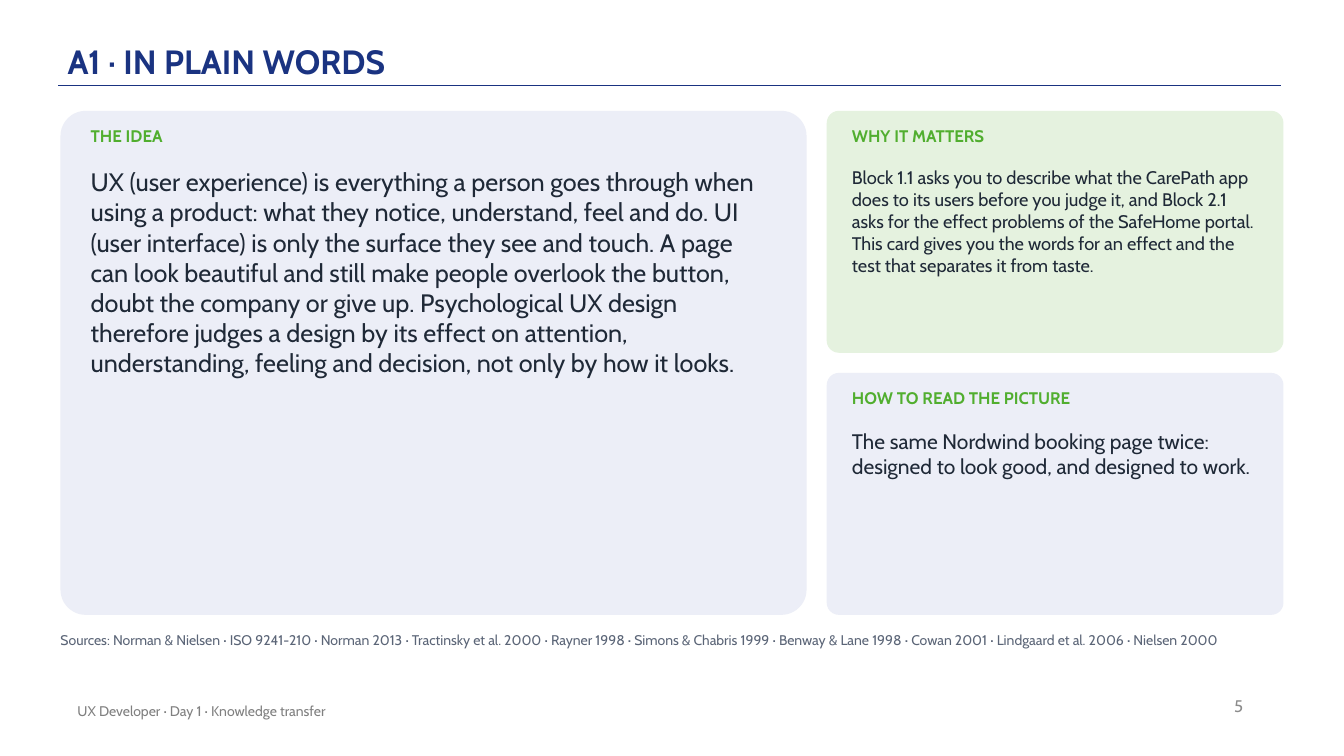
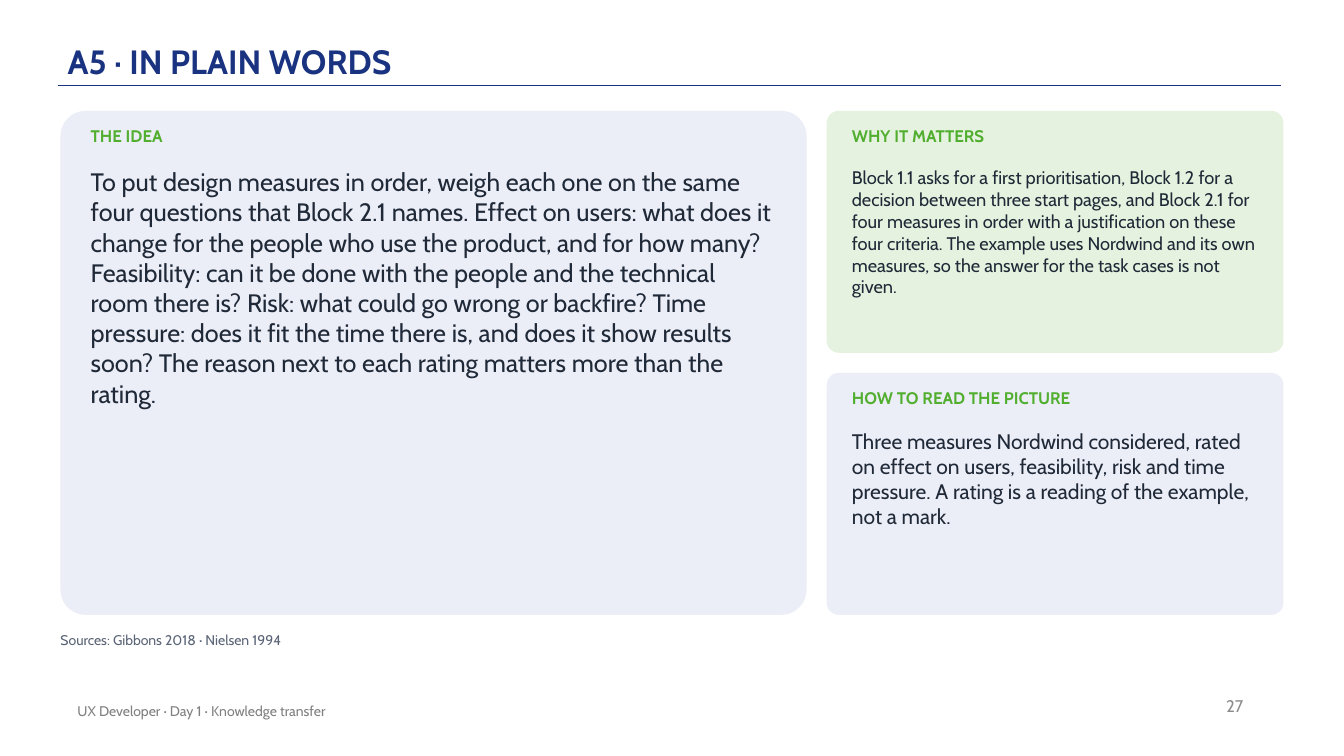
from dataclasses import dataclass

from lxml import etree
from pptx import Presentation
from pptx.dml.color import RGBColor
from pptx.enum import shapes, text
from pptx.oxml import ns
from pptx.util import Inches, Pt


@dataclass(frozen=True)
class Theme:
    font: str = "Cabin"
    navy: str = "1A3381"
    green: str = "51AE2F"
    ink: str = "1F2937"
    slate: str = "5B6577"
    footer_grey: str = "808080"
    number_grey: str = "8C8C8C"
    lavender: str = "ECEEF7"
    mint: str = "E5F2DF"
    title: int = 24
    heading: int = 12
    number: int = 12
    small: int = 10


T = Theme()

# Content
FOOTER = "UX Developer · Day 1 · Knowledge transfer"
SLIDES = [
    {
        "title": "A1 · IN PLAIN WORDS",
        "number": "5",
        "bodies": [
            "UX (user experience) is everything a person goes through when using a "
            "product: what they notice, understand, feel and do. UI (user interface) is "
            "only the surface they see and touch. A page can look beautiful and still "
            "make people overlook the button, doubt the company or give up. "
            "Psychological UX design therefore judges a design by its effect on "
            "attention, understanding, feeling and decision, not only by how it looks.",
            "Block 1.1 asks you to describe what the CarePath app does to its users "
            "before you judge it, and Block 2.1 asks for the effect problems of the "
            "SafeHome portal. This card gives you the words for an effect and the test "
            "that separates it from taste.",
            "The same Nordwind booking page twice: designed to look good, and designed "
            "to work.",
        ],
        "sources": "Sources: Norman & Nielsen · ISO 9241-210 · Norman 2013 · Tractinsky "
                   "et al. 2000 · Rayner 1998 · Simons & Chabris 1999 · Benway & Lane "
                   "1998 · Cowan 2001 · Lindgaard et al. 2006 · Nielsen 2000",
    },
    {
        "title": "A5 · IN PLAIN WORDS",
        "number": "27",
        "bodies": [
            "To put design measures in order, weigh each one on the same four questions "
            "that Block 2.1 names. Effect on users: what does it change for the people "
            "who use the product, and for how many? Feasibility: can it be done with "
            "the people and the technical room there is? Risk: what could go wrong or "
            "backfire? Time pressure: does it fit the time there is, and does it show "
            "results soon? The reason next to each rating matters more than the rating.",
            "Block 1.1 asks for a first prioritisation, Block 1.2 for a decision between "
            "three start pages, and Block 2.1 for four measures in order with a "
            "justification on these four criteria. The example uses Nordwind and its "
            "own measures, so the answer for the task cases is not given.",
            "Three measures Nordwind considered, rated on effect on users, feasibility, "
            "risk and time pressure. A rating is a reading of the example, not a mark.",
        ],
        "sources": "Sources: Gibbons 2018 · Nielsen 1994",
    },
]

# Card grid: one tall card, then two equal cards stacked beside it
LEFT, TOP, GAP = 0.6, 1.1, 0.2
WIDE, NARROW, TALL = 7.4, 4.53, 5
SHORT = (TALL - GAP) / 2
SIDE = LEFT + WIDE + GAP
# heading, left, top, width, height, side padding, body size, fill
CARDS = [
    ("THE IDEA", LEFT, TOP, WIDE, TALL, 0.3, 18, T.lavender),
    ("WHY IT MATTERS", SIDE, TOP, NARROW, SHORT, 0.25, 13, T.mint),
    ("HOW TO READ THE PICTURE", SIDE, TOP + SHORT + GAP, NARROW, SHORT, 0.25, 15,
     T.lavender),
]
HEADING_DROP, BODY_DROP = 0.15, 0.55
NO_INSET = (0, 0, 0, 0)
DEFAULT_INSET = (0.1, 0.05, 0.1, 0.05)


def add_text(s, words, box, size, color, bold=False, inset=NO_INSET,
             anchor=text.MSO_ANCHOR.TOP, align=text.PP_ALIGN.LEFT):
    tf = s.shapes.add_textbox(*map(Inches, box)).text_frame
    tf.word_wrap = True
    tf.vertical_anchor = anchor
    (tf.margin_left, tf.margin_top,
     tf.margin_right, tf.margin_bottom) = map(Inches, inset)
    p = tf.paragraphs[0]
    p.text = words
    p.alignment = align
    font = p.runs[0].font
    font.name, font.size, font.bold = T.font, Pt(size), bold
    font.color.rgb = RGBColor.from_string(color)
    return p


def add_frame(s, title, number):
    """Title, rule, page number and footer."""
    rule = s.shapes.add_connector(shapes.MSO_CONNECTOR.STRAIGHT, Inches(0.58),
                                  Inches(0.85), Inches(12.71), Inches(0.85))
    rule.line.color.rgb = RGBColor.from_string(T.navy)
    rule.line.width = Pt(1)
    etree.SubElement(rule._element.spPr, ns.qn("a:effectLst"))
    p = add_text(s, title, (0.67, 0.12, 11, 0.72), T.title, T.navy, bold=True,
                 inset=(0, 0.03, 0, 0.03), anchor=text.MSO_ANCHOR.BOTTOM)
    p.line_spacing = 0.9
    add_text(s, number, (9.43, 6.8, 3, 0.4), T.number, T.number_grey,
             inset=DEFAULT_INSET, anchor=text.MSO_ANCHOR.MIDDLE,
             align=text.PP_ALIGN.RIGHT)
    add_text(s, FOOTER, (0.67, 6.85, 6.7, 0.4), T.small, T.footer_grey,
             inset=DEFAULT_INSET, anchor=text.MSO_ANCHOR.MIDDLE)


def add_card(s, card, body):
    heading, x, y, w, h, pad, size, fill = card
    sp = s.shapes.add_shape(shapes.MSO_SHAPE.ROUNDED_RECTANGLE,
                            *map(Inches, (x, y, w, h)))
    sp.adjustments[0] = 0.05
    sp.shadow.inherit = False
    sp.fill.solid()
    sp.fill.fore_color.rgb = RGBColor.from_string(fill)
    sp.line.fill.background()
    inner = w - 2 * pad
    add_text(s, heading, (x + pad, y + HEADING_DROP, inner, 0.35), T.heading,
             T.green, bold=True)
    add_text(s, body, (x + pad, y + BODY_DROP, inner, h - BODY_DROP - 0.1), size,
             T.ink)


def main():
    prs = Presentation()
    prs.slide_width, prs.slide_height = Inches(13.33), Inches(7.5)
    for content in SLIDES:
        s = prs.slides.add_slide(prs.slide_layouts[6])
        add_frame(s, content["title"], content["number"])
        for card, body in zip(CARDS, content["bodies"]):
            add_card(s, card, body)
        add_text(s, content["sources"], (LEFT, 6.27, 12.1, 0.3), T.small, T.slate)
    prs.save("out.pptx")


if __name__ == "__main__":
    main()
